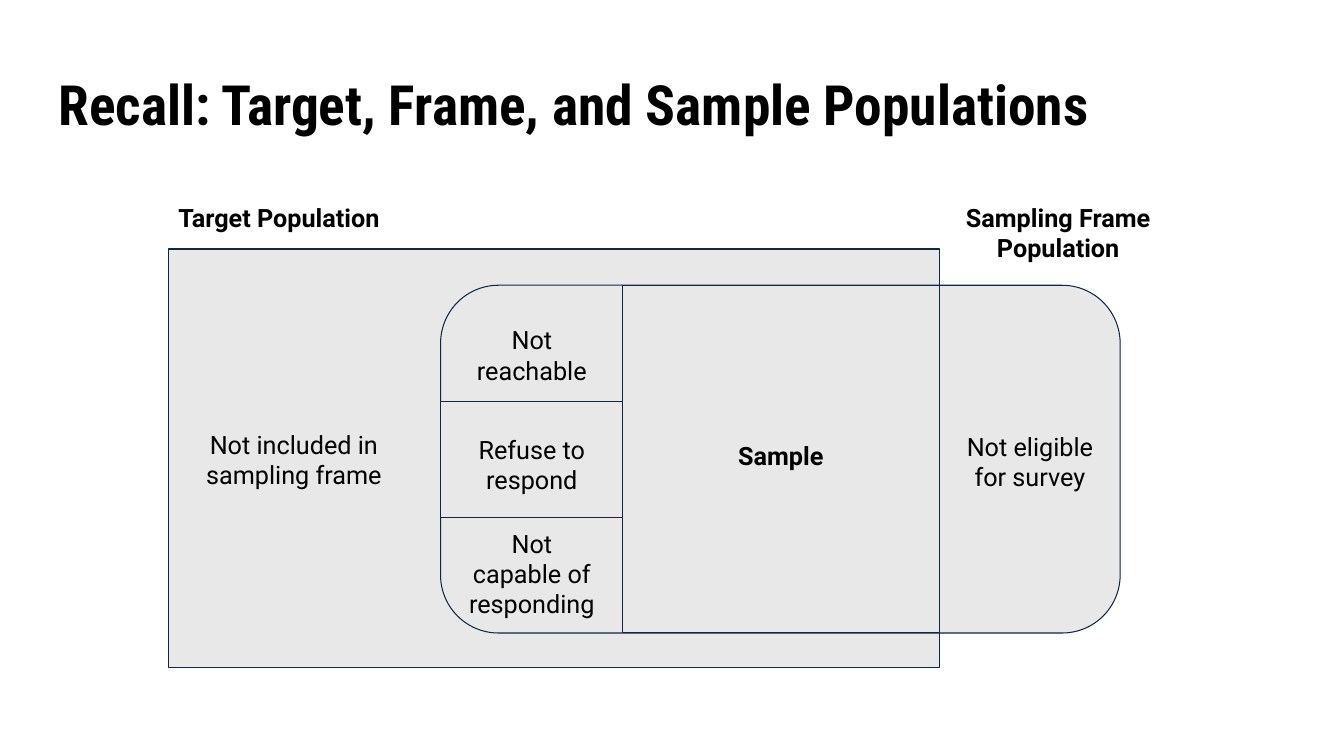
from dataclasses import dataclass

from pptx import Presentation
from pptx.dml.color import RGBColor
from pptx.enum import shapes, text
from pptx.util import Inches, Pt

BLACK = RGBColor(0x00, 0x00, 0x00)
GREY = RGBColor(0xE8, 0xE8, 0xE8)
NAVY = RGBColor(0x0E, 0x28, 0x41)

RECTANGLE = shapes.MSO_SHAPE.RECTANGLE
ROUNDED = shapes.MSO_SHAPE.ROUNDED_RECTANGLE
LEFT = text.PP_ALIGN.LEFT
CENTER = text.PP_ALIGN.CENTER


@dataclass(frozen=True)
class Region:
    left: float
    top: float
    width: float
    height: float
    outline: shapes.MSO_SHAPE = RECTANGLE


@dataclass(frozen=True)
class Label:
    wording: str
    left: float
    top: float
    width: float
    height: float
    bold: bool = False
    align: text.PP_ALIGN = CENTER


TARGET_LEFT, TARGET_RIGHT = 1.67, 9.32
FRAME_LEFT, FRAME_TOP, FRAME_HEIGHT = 4.37, 2.83, 3.45
SAMPLE_LEFT = 6.17
THIRD = FRAME_HEIGHT / 3
HEADING_TOP = 1.91
NONRESPONSE_LEFT, NARROW = 4.53, 1.49

REGIONS = [
    Region(TARGET_LEFT, 2.47, TARGET_RIGHT - TARGET_LEFT, 4.15),
    Region(FRAME_LEFT, FRAME_TOP, 6.74, FRAME_HEIGHT, ROUNDED),
    Region(SAMPLE_LEFT, FRAME_TOP, TARGET_RIGHT - SAMPLE_LEFT, FRAME_HEIGHT),
    Region(FRAME_LEFT, FRAME_TOP + THIRD, SAMPLE_LEFT - FRAME_LEFT, THIRD),
]

LABELS = [
    Label("Target Population", TARGET_LEFT, HEADING_TOP, 2.35, 0.56, True, LEFT),
    Label("Sampling Frame Population", TARGET_RIGHT, HEADING_TOP, 2.35, 0.86, True),
    Label("Not included in sampling frame", 1.9, 4.16, 2.03, 0.81),
    Label("Not reachable", NONRESPONSE_LEFT, 3.12, NARROW, 0.81),
    Label("Refuse to respond", NONRESPONSE_LEFT, 4.21, NARROW, 0.81),
    Label("Not capable of responding", NONRESPONSE_LEFT, 5.14, NARROW, 1.11),
    Label("Sample", 6.73, 4.27, 2.03, 0.56, True),
    Label("Not eligible for survey", 9.47, 4.18, NARROW, 0.81),
]


def fill_frame(frame, wording: str, inset: float, font_name: str, size: float,
               bold: bool, align: text.PP_ALIGN) -> None:
    """Put one formatted paragraph in a text frame with equal insets."""
    frame.text = wording
    frame.word_wrap = True
    frame.margin_left = frame.margin_right = Inches(inset)
    frame.margin_top = frame.margin_bottom = Inches(inset)
    paragraph = frame.paragraphs[0]
    paragraph.alignment = align
    font = paragraph.runs[0].font
    font.name = font_name
    font.size = Pt(size)
    font.bold = bold
    font.color.rgb = BLACK


def draw_region(slide, region: Region) -> None:
    area = slide.shapes.add_shape(
        region.outline, Inches(region.left), Inches(region.top),
        Inches(region.width), Inches(region.height))
    area.shadow.inherit = False
    area.fill.solid()
    area.fill.fore_color.rgb = GREY
    area.line.color.rgb = NAVY
    area.line.width = Pt(0.75)


def draw_label(slide, label: Label) -> None:
    box = slide.shapes.add_textbox(
        Inches(label.left), Inches(label.top),
        Inches(label.width), Inches(label.height))
    fill_frame(box.text_frame, label.wording, 0.1, "Roboto", 18,
               label.bold, label.align)
    box.text_frame.auto_size = text.MSO_AUTO_SIZE.SHAPE_TO_FIT_TEXT


def draw_title(slide) -> None:
    title = slide.shapes.title
    title.left, title.top = Inches(0.45), Inches(0.65)
    title.width, title.height = Inches(12.42), Inches(0.84)
    frame = title.text_frame
    fill_frame(frame, "Recall: Target, Frame, and Sample Populations", 0.13,
               "Roboto Condensed", 39.6, True, LEFT)
    frame.auto_size = text.MSO_AUTO_SIZE.NONE
    frame.vertical_anchor = text.MSO_ANCHOR.MIDDLE
    frame.paragraphs[0].line_spacing = 0.9


def main() -> None:
    deck = Presentation()
    deck.slide_width, deck.slide_height = Inches(13.33), Inches(7.5)
    slide = deck.slides.add_slide(deck.slide_layouts[5])
    draw_title(slide)
    for region in REGIONS:
        draw_region(slide, region)
    for label in LABELS:
        draw_label(slide, label)
    deck.save("out.pptx")


if __name__ == "__main__":
    main()
